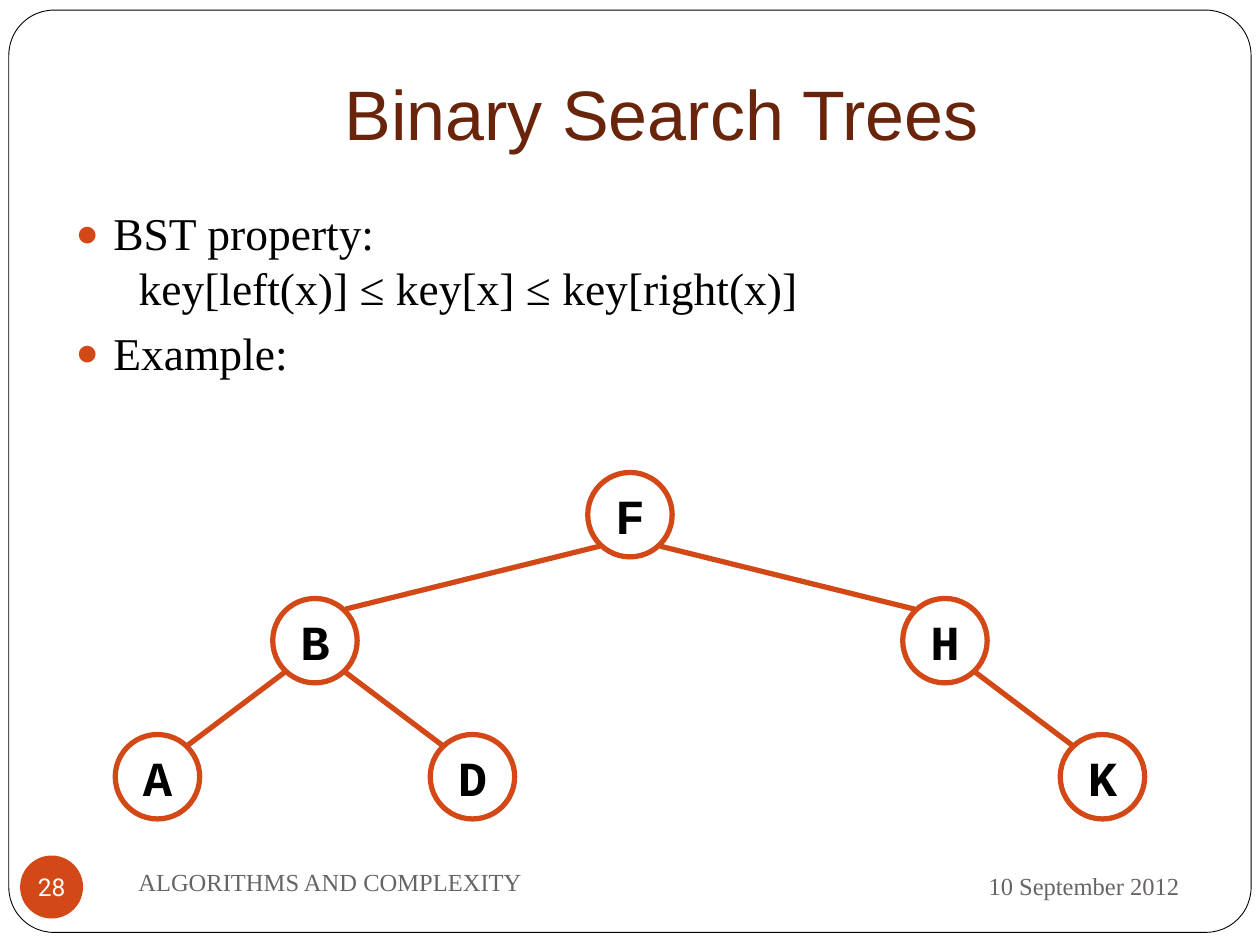
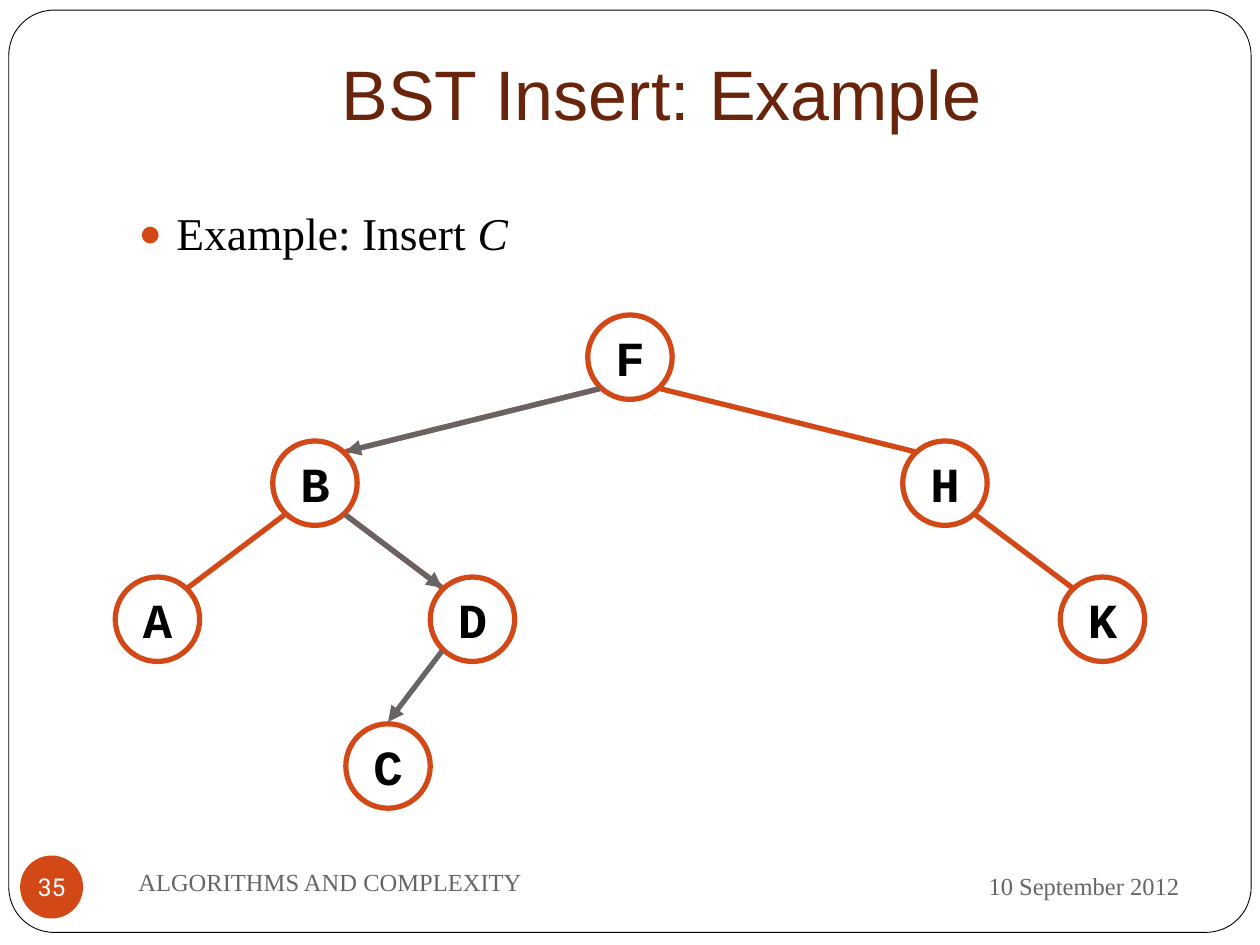
from copy import deepcopy

from lxml import etree
from pptx import Presentation
from pptx.dml.color import RGBColor
from pptx.enum import shapes, text
from pptx.oxml import ns
from pptx.util import Inches, Pt

ORANGE = RGBColor(0xD3, 0x48, 0x17)
BROWN = RGBColor(0x69, 0x24, 0x0C)
GREY = RGBColor(0x69, 0x64, 0x64)
BLACK = RGBColor(0, 0, 0)
WHITE = RGBColor(0xFF, 0xFF, 0xFF)

TITLE_FONT = "Arial"
BODY_FONT = "Times New Roman"
NODE_FONT = "Courier New"
NUMBER_FONT = "Roboto"

NODE_SIZE = 0.67
EDGE_X = 0.24
EDGE_Y = 0.25
TREE = {"F": (5, 0), "B": (2.5, 1), "H": (7.5, 1), "K": (8.75, 2.08), "D": (3.75, 2.08), "A": (1.25, 2.08)}
EDGES = ["BA", "BD", "FB", "FH", "HK"]
SEARCH_PATH = ["FB", "BD"]


def write(paragraph, content, font=BODY_FONT, size=14, color=BLACK, bold=False, italic=False,
          align=text.PP_ALIGN.LEFT):
    paragraph.alignment = align
    for index, line in enumerate(content.split("\n")):
        if index:
            paragraph.add_line_break()
        run = paragraph.add_run()
        run.text = line
        run.font.name = font
        run.font.size = Pt(size)
        run.font.color.rgb = color
        run.font.bold = bold
        run.font.italic = italic
    for line_break in paragraph._p.findall(ns.qn("a:br")):
        if len(line_break) == 0:
            line_break.append(deepcopy(run._r.rPr))


def place(shape, left, top, width, height):
    shape.left, shape.top = Inches(left), Inches(top)
    shape.width, shape.height = Inches(width), Inches(height)


def set_insets(frame, left, top, right, bottom):
    frame.margin_left, frame.margin_top = Inches(left), Inches(top)
    frame.margin_right, frame.margin_bottom = Inches(right), Inches(bottom)


def add_plain_shape(slide, kind, left, top, width, height, fill, line=None, weight=1):
    shape = slide.shapes.add_shape(kind, Inches(left), Inches(top), Inches(width), Inches(height))
    shape.shadow.inherit = False
    shape.fill.solid()
    shape.fill.fore_color.rgb = fill
    if line is None:
        shape.line.fill.background()
    else:
        shape.line.color.rgb = line
        shape.line.width = Pt(weight)
    return shape


def add_circle(slide, left, top, diameter, content, fill, line=None, **style):
    circle = add_plain_shape(slide, shapes.MSO_SHAPE.OVAL, left, top, diameter, diameter, fill, line, 3)
    frame = circle.text_frame
    frame.word_wrap = False
    frame.vertical_anchor = text.MSO_ANCHOR.MIDDLE
    write(frame.paragraphs[0], content, align=text.PP_ALIGN.CENTER, **style)
    return circle


def add_frame(slide):
    frame = add_plain_shape(slide, shapes.MSO_SHAPE.ROUNDED_RECTANGLE, 0.07, 0.08, 9.86, 7.32, WHITE, BLACK, 0.5)
    frame.adjustments[0] = 0.049
    slide.shapes[0]._element.addprevious(frame._element)


def add_footer_text(slide, left, top, width, height, content, align):
    box = slide.shapes.add_textbox(Inches(left), Inches(top), Inches(width), Inches(height))
    box.text_frame.word_wrap = True
    box.text_frame.vertical_anchor = text.MSO_ANCHOR.MIDDLE
    write(box.text_frame.paragraphs[0], content, color=GREY, align=align)


def add_footer(slide, number):
    add_footer_text(slide, 6.75, 6.77, 2.71, 0.52, "10 September 2012", text.PP_ALIGN.RIGHT)
    add_footer_text(slide, 1, 6.75, 4.33, 0.5, "ALGORITHMS AND COMPLEXITY", text.PP_ALIGN.LEFT)
    badge = add_circle(slide, 0.16, 6.79, 0.5, str(number), ORANGE, font=NUMBER_FONT, color=WHITE)
    set_insets(badge.text_frame, 0, 0, 0, 0)


def set_title(slide, content, top):
    title = slide.shapes.title
    place(title, 1, top, 8.5, 1.25)
    frame = title.text_frame
    frame.auto_size = text.MSO_AUTO_SIZE.NONE
    frame.vertical_anchor = text.MSO_ANCHOR.BOTTOM
    set_insets(frame, 0.1, 0.05, 0.1, 0.1)
    write(frame.paragraphs[0], content, font=TITLE_FONT, size=40, color=BROWN, align=text.PP_ALIGN.CENTER)


def add_bullet(paragraph):
    properties = paragraph._p.get_or_add_pPr()
    properties.set("marL", str(Inches(0.3)))
    properties.set("indent", str(-Inches(0.3)))
    color = etree.SubElement(properties, ns.qn("a:buClr"))
    etree.SubElement(color, ns.qn("a:srgbClr"), val=str(ORANGE))
    etree.SubElement(properties, ns.qn("a:buSzPct"), val="85000")
    etree.SubElement(properties, ns.qn("a:buChar"), char="●")


def set_bullets(slide, left, width, bullets):
    body = slide.placeholders[1]
    place(body, left, 1.58, width, 5)
    frame = body.text_frame
    frame.auto_size = text.MSO_AUTO_SIZE.NONE
    for index, runs in enumerate(bullets):
        paragraph = frame.add_paragraph() if index else frame.paragraphs[0]
        add_bullet(paragraph)
        paragraph.space_before = Pt(5.8 if index else 0)
        for content, italic in runs:
            write(paragraph, content, size=26, italic=italic)


def add_edge(slide, start, end, color=ORANGE, arrow=False):
    points = [Inches(value) for value in (*start, *end)]
    edge = slide.shapes.add_connector(shapes.MSO_CONNECTOR.STRAIGHT, *points)
    edge.line.color.rgb = color
    edge.line.width = Pt(3)
    properties = edge._element.spPr
    if arrow:
        etree.SubElement(properties.find(ns.qn("a:ln")), ns.qn("a:tailEnd"), type="triangle")
    etree.SubElement(properties, ns.qn("a:effectLst"))


def add_node(slide, letter, center):
    x, y = center
    add_circle(slide, x - NODE_SIZE / 2, y - NODE_SIZE / 2, NODE_SIZE, letter, WHITE, ORANGE,
               font=NODE_FONT, size=28, bold=True)


def join_nodes(slide, centers, pair, **style):
    (parent_x, parent_y), (child_x, child_y) = (centers[letter] for letter in pair)
    side = EDGE_X if child_x > parent_x else -EDGE_X
    add_edge(slide, (parent_x + side, parent_y + EDGE_Y), (child_x - side, child_y - EDGE_Y), **style)


def add_tree(slide, top):
    centers = {letter: (x, top + NODE_SIZE / 2 + y) for letter, (x, y) in TREE.items()}
    for letter, center in centers.items():
        add_node(slide, letter, center)
    for pair in EDGES:
        join_nodes(slide, centers, pair)
    return centers


def add_insertion(slide, centers):
    for pair in SEARCH_PATH:
        join_nodes(slide, centers, pair, color=GREY, arrow=True)
    add_node(slide, "C", (3.08, 6.08))
    x, y = centers["D"]
    add_edge(slide, (x - EDGE_X, y + EDGE_Y), (3.08, 5.73), color=GREY, arrow=True)


def add_slide(presentation, title, title_top, number):
    slide = presentation.slides.add_slide(presentation.slide_layouts[1])
    add_frame(slide)
    set_title(slide, title, title_top)
    add_footer(slide, number)
    return slide


def main():
    presentation = Presentation()
    presentation.slide_width, presentation.slide_height = Inches(10), Inches(7.5)

    slide = add_slide(presentation, "Binary Search Trees", 0.08, 28)
    set_bullets(slide, 0.5, 9, [
        [("BST property: \n\tkey[left(x)] ≤ key[x] ≤ key[right(x)]", False)],
        [("Example:", False)],
    ])
    add_tree(slide, 3.75)

    slide = add_slide(presentation, "BST Insert: Example", -0.08, 35)
    set_bullets(slide, 1, 8.5, [[("Example: Insert ", False), ("C", True)]])
    add_insertion(slide, add_tree(slide, 2.5))

    presentation.save("out.pptx")


if __name__ == "__main__":
    main()
